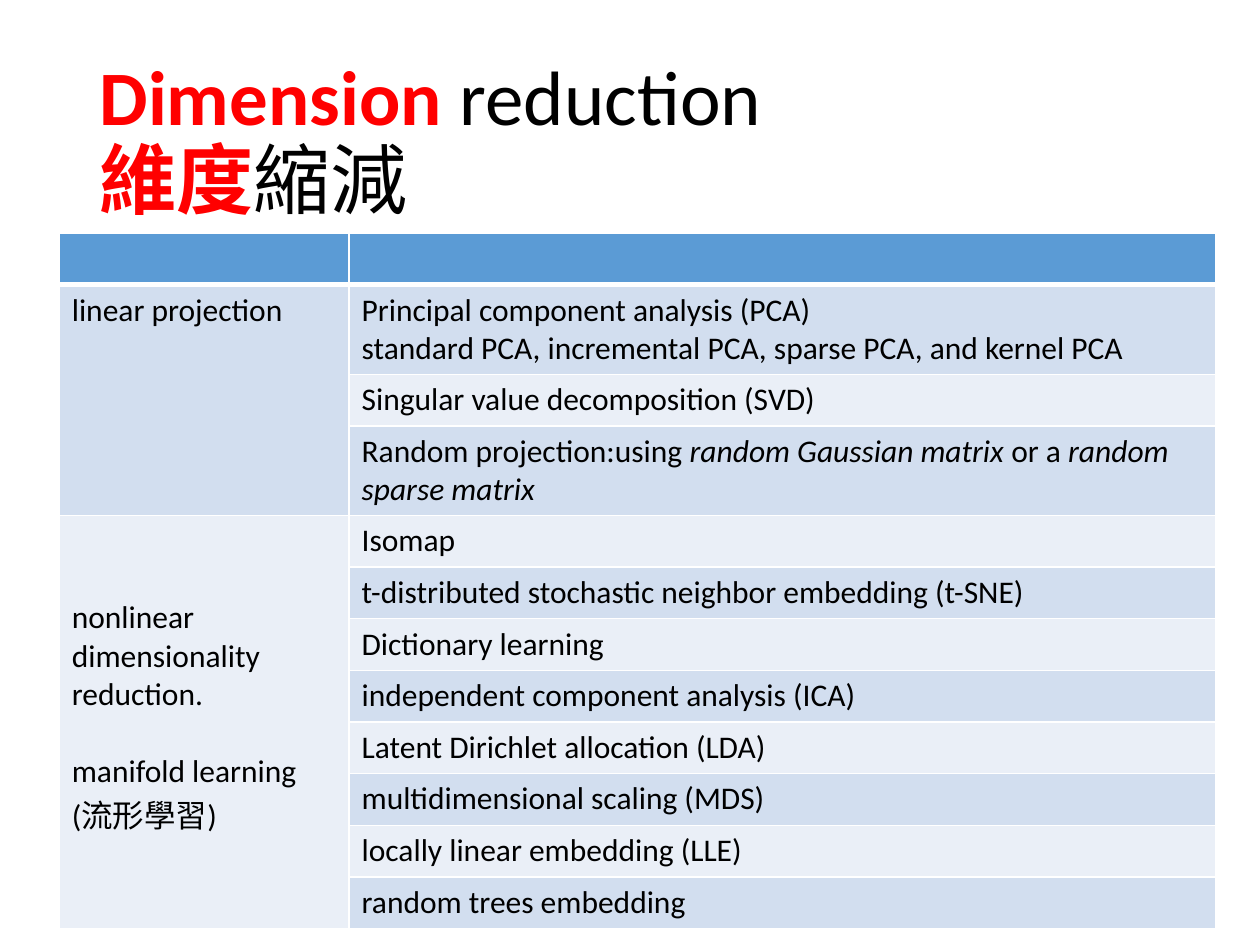
import pptx
import pptx.dml.color
import pptx.enum.text
import pptx.oxml
import pptx.oxml.ns
import pptx.util

Inches = pptx.util.Inches
Pt = pptx.util.Pt
RGBColor = pptx.dml.color.RGBColor

FONT = "Calibri"
RED = RGBColor(0xFF, 0x00, 0x00)
BLACK = RGBColor(0x00, 0x00, 0x00)
WHITE = RGBColor(0xFF, 0xFF, 0xFF)
HEADER_BLUE = RGBColor(0x5B, 0x9B, 0xD5)
BANDS = [RGBColor(0xEA, 0xEF, 0xF7), RGBColor(0xD2, 0xDE, 0xEF)]

TITLE_LINES = [("Dimension ", "reduction"), ("維度", "縮減")]
COLUMN_WIDTHS = [2.3, 6.88]
ROW_HEIGHT = 0.41
GROUPS = [
    (["linear projection"], [
        ["Principal component analysis (PCA)",
         "standard PCA, incremental PCA, sparse PCA, and kernel PCA"],
        ["Singular value decomposition (SVD)"],
        ["Random projection:using *random Gaussian matrix *or a *random sparse matrix"],
    ]),
    (["nonlinear dimensionality reduction.", "manifold learning", "(流形學習)"], [
        ["Isomap"],
        ["t-distributed stochastic neighbor embedding (t-SNE)"],
        ["Dictionary learning"],
        ["independent component analysis (ICA)"],
        ["Latent Dirichlet allocation (LDA)"],
        ["multidimensional scaling (MDS)"],
        ["locally linear embedding (LLE)"],
        ["random trees embedding"],
    ]),
]


def add_span(para, text, size, color=BLACK, bold=False, italic=False):
    span = para.add_run()
    span.text = text
    span.font.name = FONT
    span.font.size = Pt(size)
    span.font.color.rgb = color
    span.font.bold = bold
    span.font.italic = italic


def add_title(page):
    title = page.shapes.title
    title.left, title.top = Inches(0.69), Inches(0.4)
    title.width, title.height = Inches(8.62), Inches(1.45)
    frame = title.text_frame
    frame.word_wrap = True
    frame.auto_size = pptx.enum.text.MSO_AUTO_SIZE.NONE
    frame.vertical_anchor = pptx.enum.text.MSO_ANCHOR.MIDDLE
    para = frame.paragraphs[0]
    para.alignment = pptx.enum.text.PP_ALIGN.LEFT
    para.line_spacing = 0.9
    for index, (accent, rest) in enumerate(TITLE_LINES):
        if index:
            para.add_line_break()
        add_span(para, accent, 44, RED, bold=True)
        add_span(para, rest, 44)


def set_borders(cell, bottom=1):
    properties = cell._tc.get_or_add_tcPr()
    widths = {"lnL": 1, "lnR": 1, "lnT": 1, "lnB": bottom}
    for index, (tag, width) in enumerate(widths.items()):
        properties.insert(index, pptx.oxml.parse_xml(
            f'<a:{tag} {pptx.oxml.ns.nsdecls("a")} w="{Pt(width)}"><a:solidFill>'
            f'<a:srgbClr val="{WHITE}"/></a:solidFill></a:{tag}>'))


def paint_cell(cell, color, bottom=1):
    cell.fill.solid()
    cell.fill.fore_color.rgb = color
    set_borders(cell, bottom)


def write_cell(cell, lines):
    frame = cell.text_frame
    for index, line in enumerate(lines):
        para = frame.add_paragraph() if index else frame.paragraphs[0]
        for part, text in enumerate(line.split("*")):
            add_span(para, text, 18, italic=part % 2 == 1)


def add_methods_table(page):
    row_count = 1 + sum(len(methods) for _, methods in GROUPS)
    table = page.shapes.add_table(
        row_count, 2, Inches(0.47), Inches(1.85),
        Inches(sum(COLUMN_WIDTHS)), Inches(ROW_HEIGHT * row_count)).table
    for column, width in zip(table.columns, COLUMN_WIDTHS):
        column.width = Inches(width)
    for index, row in enumerate(table.rows):
        row.height = Inches(ROW_HEIGHT)
        for cell in row.cells:
            if index:
                paint_cell(cell, BANDS[index % 2])
            else:
                paint_cell(cell, HEADER_BLUE, bottom=3)

    start = 1
    for label, methods in GROUPS:
        group_cell = table.cell(start, 0)
        group_cell.merge(table.cell(start + len(methods) - 1, 0))
        write_cell(group_cell, label)
        for offset, method in enumerate(methods):
            write_cell(table.cell(start + offset, 1), method)
        start += len(methods)

    group_cell.margin_top = Inches(0.66)
    group_cell.text_frame.paragraphs[1].space_before = Pt(22)


def main():
    deck = pptx.Presentation()
    deck.slide_width, deck.slide_height = Inches(10), Inches(7.5)
    page = deck.slides.add_slide(deck.slide_layouts[5])
    add_title(page)
    add_methods_table(page)
    deck.save("out.pptx")


if __name__ == "__main__":
    main()
